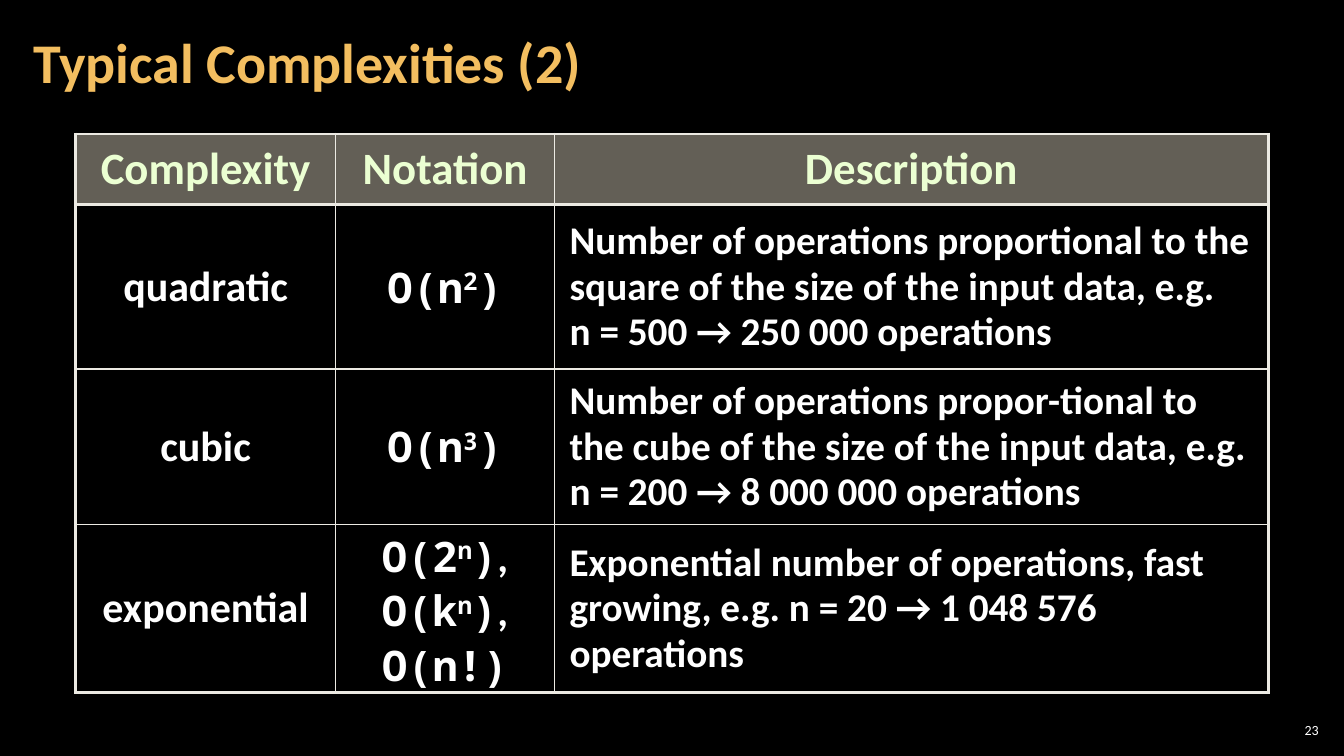
from dataclasses import dataclass

from lxml.etree import SubElement
from pptx import Presentation
from pptx.dml.color import RGBColor
from pptx.enum.text import MSO_ANCHOR, PP_ALIGN
from pptx.oxml import parse_xml
from pptx.oxml.ns import nsdecls, qn
from pptx.util import Inches, Pt

TITLE = "Typical Complexities (2)"
PAGE_NUMBER = "23"
HEADERS = ("Complexity", "Notation", "Description")
# Each notation is (base, exponent, closing, separator).
ROWS = (
    ("quadratic", [("O(n", "2", ")", "")],
     "Number of operations proportional to the square of the size of the input data, e.g.\n"
     "n = 500 → 250 000 operations"),
    ("cubic", [("O(n", "3", ")", "")],
     "Number of operations propor-tional to the cube of the size of the input data, "
     "e.g. n = 200 → 8 000 000 operations"),
    ("exponential", [("O(2", "n", ")", ","), ("O(k", "n", ")", ","), ("O(n!)", "", "", "")],
     "Exponential number of operations, fast growing, e.g. n = 20 → 1 048 576 operations"),
)
COLUMN_WIDTHS = (2.58, 2.17, 7.08)
ROW_HEIGHTS = (0.7, 1.63, 1.54, 1.67)
TABLE_LEFT, TABLE_TOP = 0.75, 1.33


@dataclass(frozen=True)
class Theme:
    background: str = "000000"
    title: str = "F3BE60"
    heading: str = "EBFFD2"
    body: str = "FFFFFF"
    heading_fill: str = "C7BFAC"
    border: str = "ECEAE3"
    font: str = "Calibri"
    code_font: str = "Noto Sans Mono"
    title_size: int = 40
    heading_size: int = 32
    label_size: int = 30
    description_size: int = 28
    number_size: int = 10
    thick: float = 2.25
    thin: float = 1


THEME = Theme()


def style(para, size, color, align=PP_ALIGN.LEFT, bold=True, font=THEME.font, spacing=0.95):
    para.alignment = align
    para.line_spacing = spacing
    para.font.name = font
    para.font.size = Pt(size)
    para.font.bold = bold
    para.font.color.rgb = RGBColor.from_string(color)


def add_text(page, text, place, inset, **look):
    box = page.shapes.add_textbox(*(Inches(length) for length in place))
    frame = box.text_frame
    frame.word_wrap = True
    frame.vertical_anchor = MSO_ANCHOR.MIDDLE
    frame.margin_left = frame.margin_right = Inches(inset)
    frame.margin_top = frame.margin_bottom = Inches(0.04)
    frame.text = text
    style(frame.paragraphs[0], **look)


def set_borders(cell, row, column):
    """Thick lines round the table and under the heading row, thin ones inside."""
    last_row, last_column = len(ROWS), len(HEADERS) - 1
    thick_sides = {
        "L": column == 0,
        "R": column == last_column,
        "T": row in (0, 1),
        "B": row in (0, last_row),
    }
    properties = cell._tc.get_or_add_tcPr()
    for index, (side, thick) in enumerate(thick_sides.items()):
        width = Pt(THEME.thick if thick else THEME.thin)
        properties.insert(index, parse_xml(
            f'<a:ln{side} {nsdecls("a")} w="{width}"><a:solidFill>'
            f'<a:srgbClr val="{THEME.border}"/></a:solidFill></a:ln{side}>'))


def fill_heading(cell):
    cell.fill.solid()
    cell.fill.fore_color.rgb = RGBColor.from_string(THEME.heading_fill)
    color = cell._tc.tcPr.find(qn("a:solidFill")).find(qn("a:srgbClr"))
    SubElement(color, qn("a:alpha")).set("val", "50000")


def write_notations(frame, notations):
    for index, (base, exponent, closing, separator) in enumerate(notations):
        para = frame.add_paragraph() if index else frame.paragraphs[0]
        style(para, THEME.label_size, THEME.body, PP_ALIGN.CENTER, font=THEME.code_font)
        for text in filter(None, (base, exponent, closing, separator)):
            span = para.add_run()
            span.text = text
            if text == exponent:
                span._r.get_or_add_rPr().set("baseline", "30000")
            elif text == separator:
                span.font.name = THEME.font


def add_complexity_table(page):
    frame = page.shapes.add_table(
        len(ROW_HEIGHTS), len(COLUMN_WIDTHS), Inches(TABLE_LEFT), Inches(TABLE_TOP),
        Inches(sum(COLUMN_WIDTHS)), Inches(sum(ROW_HEIGHTS)))
    table = frame.table
    table.horz_banding = False
    for column, width in zip(table.columns, COLUMN_WIDTHS):
        column.width = Inches(width)
    for row, height in zip(table.rows, ROW_HEIGHTS):
        row.height = Inches(height)

    for row, contents in enumerate((HEADERS, *ROWS)):
        for column, content in enumerate(contents):
            cell = table.cell(row, column)
            cell.vertical_anchor = MSO_ANCHOR.MIDDLE
            cell.margin_left = cell.margin_right = Inches(0.15)
            cell.margin_top = cell.margin_bottom = Inches(0.05)
            para = cell.text_frame.paragraphs[0]
            if row == 0:
                fill_heading(cell)
                para.text = content
                style(para, THEME.heading_size, THEME.heading, PP_ALIGN.CENTER)
            else:
                cell.fill.background()
                if column == 1:
                    write_notations(cell.text_frame, content)
                else:
                    para.text = content
                    if column == 0:
                        style(para, THEME.label_size, THEME.body, PP_ALIGN.CENTER)
                    else:
                        style(para, THEME.description_size, THEME.body)
            set_borders(cell, row, column)


def main():
    deck = Presentation()
    deck.slide_width, deck.slide_height = Inches(13.33), Inches(7.5)
    page = deck.slides.add_slide(deck.slide_layouts[6])
    page.background.fill.solid()
    page.background.fill.fore_color.rgb = RGBColor.from_string(THEME.background)
    add_text(page, PAGE_NUMBER, (12.65, 7.14, 0.47, 0.21), 0.04, size=THEME.number_size,
             color=THEME.body, align=PP_ALIGN.RIGHT, bold=False, spacing=1.0)
    add_complexity_table(page)
    add_text(page, TITLE, (0.21, 0.04, 10.47, 1.21), 0.12, size=THEME.title_size,
             color=THEME.title, spacing=0.9)
    deck.save("out.pptx")


if __name__ == "__main__":
    main()
